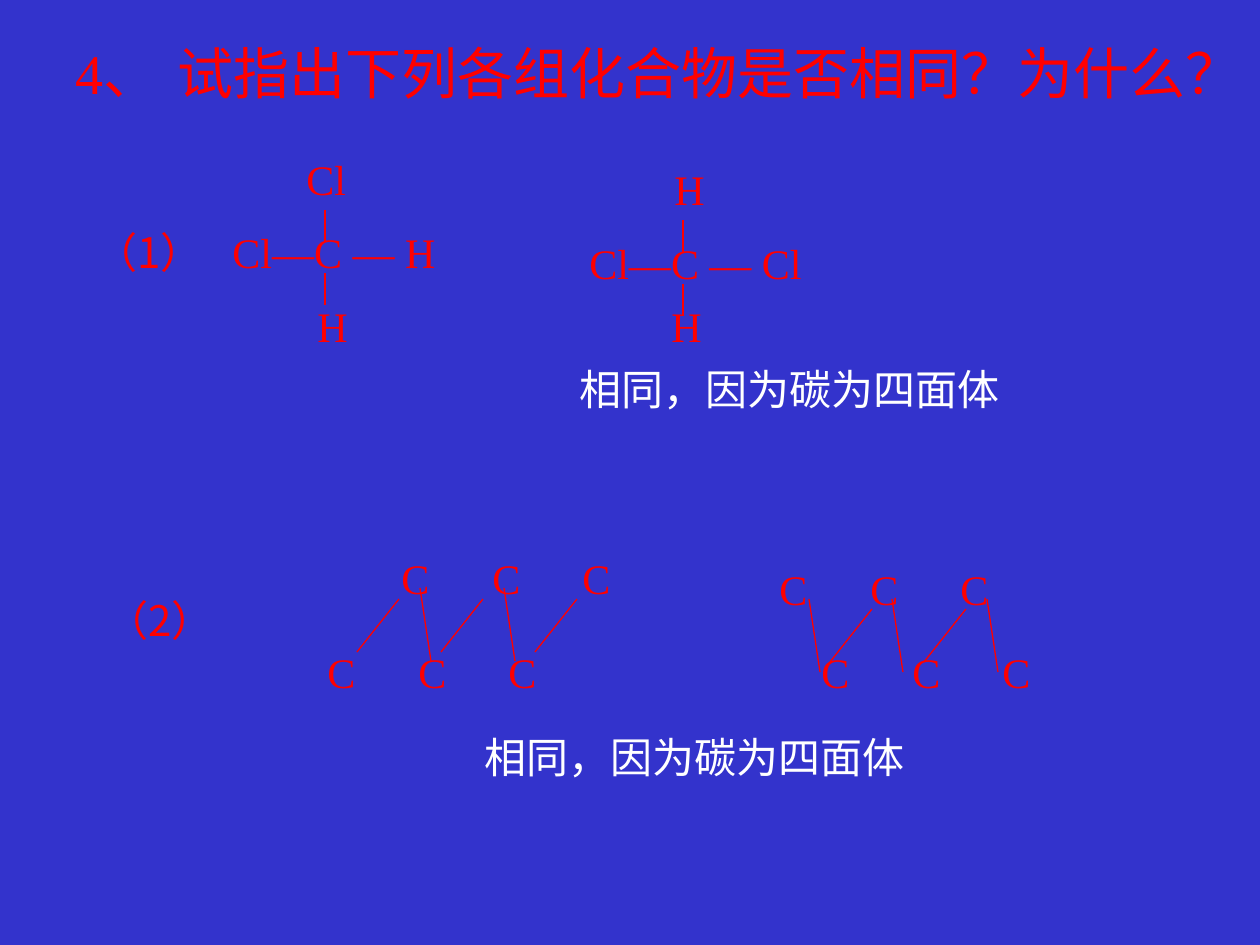
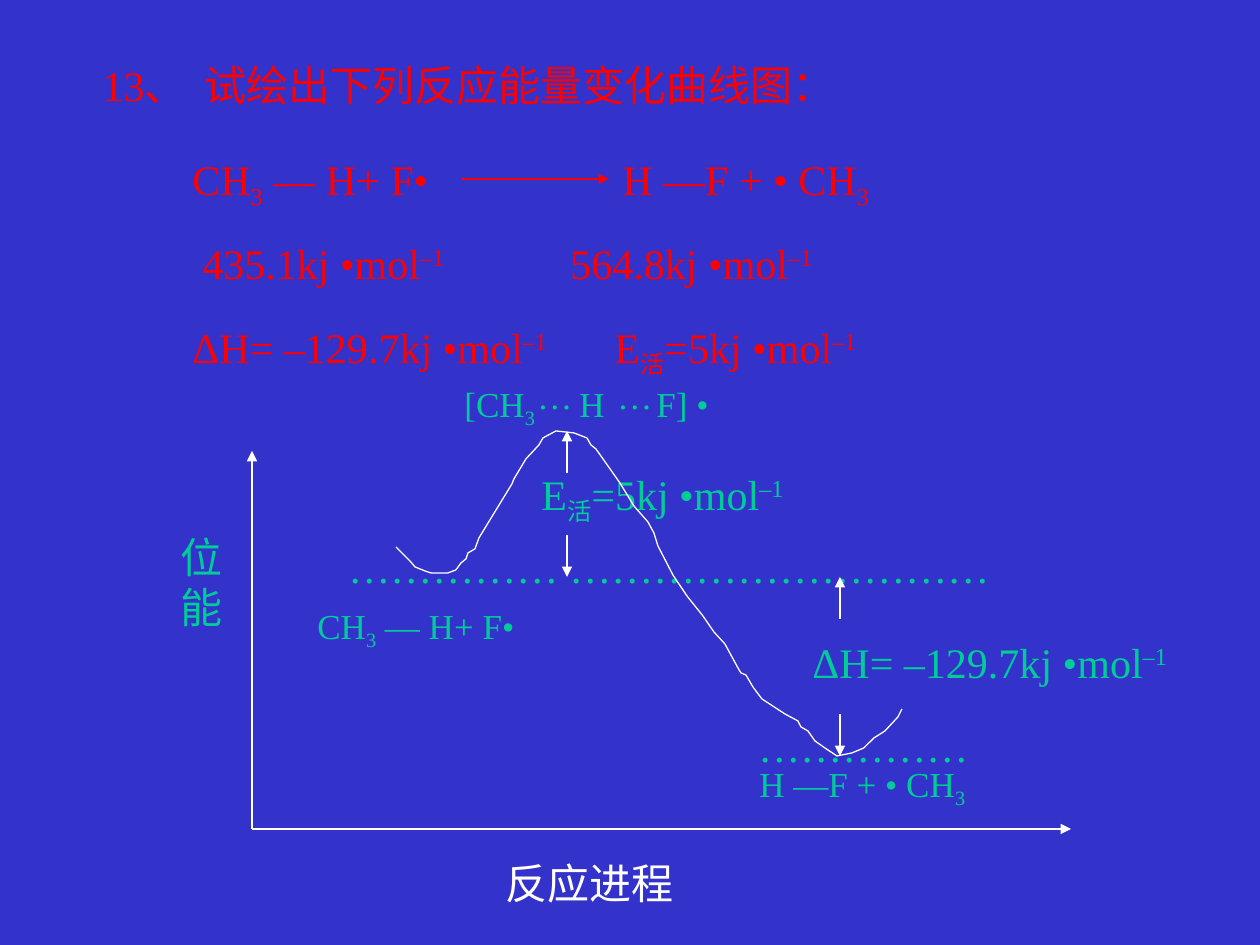
from dataclasses import dataclass

from lxml.etree import SubElement
from pptx import Presentation
from pptx.dml.color import RGBColor
from pptx.enum.shapes import MSO_CONNECTOR
from pptx.enum.text import MSO_ANCHOR, MSO_AUTO_SIZE, PP_ALIGN
from pptx.oxml.ns import qn
from pptx.util import Pt

PX = 914400 / 126
SLACK = 16


@dataclass(frozen=True)
class Theme:
    ground: str = "3333CC"
    question: str = "FF0000"
    answer: str = "FFFFFF"
    energy: str = "00CC99"
    latin: str = "Times New Roman"
    cjk: str = "Noto Sans CJK SC"
    heading: int = 32
    body: int = 24
    label: int = 20
    stroke: float = 0.75


THEME = Theme()
SUB, SUP = -25000, 30000


def sub(value):
    return value, {"baseline": SUB}


def sup(value):
    return value, {"baseline": SUP}


def gap(size):
    return "　", {"size": size}


REACTANTS = ["CH", sub("3"), " — H+ F•"]
PRODUCTS = ["H —F + • CH", sub("3")]
ENTHALPY = ["ΔH= –129.7kj •mol", sup("–1")]
ACTIVATION = ["E", sub("活"), "=5kj •mol", sup("–1")]
COMPLEX = ["[CH", sub("3"), "\tH\tF] •"]
SAME = "相同，因为碳为四面体"
CHAIN = "C\tC\tC"
ELLIPSES = "……………"

COMPOUNDS = {
    "title": (["4、", gap(10), "试指出下列各组化合物是否相同？为什么？"], (63, 32, 1197, 80)),
    "numbers": [("（1）", (83, 220, 152, 63)), ("（2）", (94, 588, 152, 63))],
    "formulas": [
        ("Cl—C — H", (220, 220, 228, 63)),
        ("Cl—C — Cl", (577, 231, 237, 63)),
        ("H", (662, 157, 55, 63)),
        ("H", (659, 294, 55, 63)),
        ("H", (305, 294, 55, 63)),
        ("Cl", (294, 147, 64, 63)),
    ],
    "chains": [(389, 546), (315, 640), (767, 557), (809, 640)],
    "answers": [(567, 357), (472, 725)],
    "bonds": [
        ((0, 32), [(325, 210), (325, 273), (683, 220), (683, 284)]),
        ((-42, 53), [(399, 599), (483, 599), (577, 599), (966, 609), (872, 609)]),
        ((11, 73), [(420, 588), (504, 588), (809, 599), (892, 599), (987, 599)]),
    ],
}

REACTION = {
    "title": (["13、", gap(10), "试绘出下列反应能量变化曲线图："], (90, 53, 786, 63)),
    "equations": [
        (REACTANTS, (180, 147, 261, 70)),
        (PRODUCTS, (610, 147, 282, 70)),
        (["435.1kj •mol", sup("–1")], (190, 231, 267, 63)),
        (["564.8kj •mol", sup("–1")], (558, 231, 267, 63)),
        (ENTHALPY, (180, 315, 379, 63)),
        (ACTIVATION, (602, 315, 287, 70)),
    ],
    "levels": [(336, 535), (557, 535), (767, 535), (746, 714)],
    "energies": [
        (ACTIVATION, (529, 462, 287, 70)),
        (ENTHALPY, (800, 630, 379, 63)),
        ("位\n能", (168, 525, 67, 113)),
    ],
    "states": [
        (REACTANTS, (305, 598, 222, 60)),
        (PRODUCTS, (747, 756, 239, 60)),
        (COMPLEX, (452, 376, 270, 60)),
        ("…", (525, 368, 77, 55)),
        ("…", (605, 368, 77, 55)),
    ],
    "progress": ("反应进程", (493, 851, 193, 63)),
    "equation_arrow": ((462, 179), (609, 179)),
    "base_line": ((252, 829), (1008, 829)),
    "arrows": [
        ((252, 829), (252, 451)),
        ((840, 829), (1071, 829)),
        ((567, 473), (567, 431)),
        ((567, 535), (567, 577)),
        ((840, 714), (840, 756)),
        ((840, 619), (840, 577)),
    ],
    "curve": [
        (396, 547), (410, 561), (415, 567), (425, 571), (431, 573), (448, 573),
        (456, 570), (461, 563), (466, 559), (468, 553), (475, 549), (479, 538),
        (490, 520), (512, 484), (514, 479), (526, 459), (539, 445), (543, 438),
        (556, 431), (574, 433), (587, 438), (591, 445), (596, 449), (608, 466),
        (620, 483), (634, 506), (648, 522), (654, 533), (658, 546), (673, 575),
        (687, 596), (703, 616), (714, 632), (725, 644), (738, 668), (741, 673),
        (746, 675), (753, 687), (762, 699), (785, 714), (798, 721), (801, 727),
        (808, 731), (815, 741), (825, 748), (837, 756), (852, 753), (864, 748),
        (874, 738), (885, 731), (898, 717), (902, 709),
    ],
}


def rgb(value):
    return RGBColor.from_string(value)


def emu(*lengths):
    return [round(length * PX) for length in lengths]


def set_tabs(paragraph, stops):
    tab_list = SubElement(paragraph._p.get_or_add_pPr(), qn("a:tabLst"))
    for stop in stops:
        SubElement(tab_list, qn("a:tab"), pos=str(round(stop * PX)), algn="l")


def write(shape, content, color=THEME.question, size=THEME.body, face=THEME.latin,
          east=THEME.cjk, align=PP_ALIGN.LEFT, wrap=False, tabs=()):
    frame = shape.text_frame
    frame.word_wrap = wrap
    frame.auto_size = MSO_AUTO_SIZE.NONE
    frame.vertical_anchor = MSO_ANCHOR.TOP
    lines = [[line] for line in content.split("\n")] if isinstance(content, str) else [content]
    for index, parts in enumerate(lines):
        paragraph = frame.add_paragraph() if index else frame.paragraphs[0]
        paragraph.alignment = align
        paragraph._p.get_or_add_pPr().set("hangingPunct", "0")
        if tabs:
            set_tabs(paragraph, tabs)
        for part in parts:
            value, extra = (part, {}) if isinstance(part, str) else part
            run = paragraph.add_run()
            run.text = value
            run.font.size = Pt(extra.get("size", size))
            run.font.color.rgb = rgb(color)
            run.font.name = face
            properties = run._r.get_or_add_rPr()
            SubElement(properties, qn("a:ea"), typeface=east)
            if "baseline" in extra:
                properties.set("baseline", str(extra["baseline"]))


def add_title(slide, title, **style):
    content, frame = title
    heading = slide.shapes.title
    heading.left, heading.top, heading.width, heading.height = emu(*frame)
    write(heading, content, **style)


def add_label(slide, content, frame, **style):
    left, top, width, height = frame
    label = slide.shapes.add_textbox(*emu(left, top, width + SLACK, height))
    write(label, content, **style)


def add_line(slide, start, end, color=THEME.question, arrow=False):
    connector = slide.shapes.add_connector(MSO_CONNECTOR.STRAIGHT, *emu(*start, *end))
    connector.line.color.rgb = rgb(color)
    connector.line.width = Pt(THEME.stroke)
    if arrow:
        SubElement(connector.line._get_or_add_ln(), qn("a:tailEnd"), type="triangle")
    SubElement(connector._element.spPr, qn("a:effectLst"))


def add_curve(slide, points):
    outline = slide.shapes.build_freeform(*points[0], scale=PX)
    outline.add_line_segments(points[1:], close=False)
    curve = outline.convert_to_shape()
    curve.shadow.inherit = False
    curve.fill.background()
    curve.line.color.rgb = rgb(THEME.answer)
    curve.line.width = Pt(THEME.stroke)


def build_compounds(slide):
    add_title(slide, COMPOUNDS["title"], size=THEME.heading, align=PP_ALIGN.JUSTIFY, wrap=True)
    for number, frame in COMPOUNDS["numbers"]:
        add_label(slide, number, frame, face=THEME.cjk)
    for formula, frame in COMPOUNDS["formulas"]:
        add_label(slide, formula, frame)
    for corner in COMPOUNDS["chains"]:
        add_label(slide, CHAIN, (*corner, 234, 63), tabs=(91, 181))
    for (dx, dy), starts in COMPOUNDS["bonds"]:
        for x, y in starts:
            add_line(slide, (x, y), (x + dx, y + dy))
    for corner in COMPOUNDS["answers"]:
        add_label(slide, SAME, (*corner, 445, 63), color=THEME.answer)


def build_reaction(slide):
    add_title(slide, REACTION["title"])
    for equation, frame in REACTION["equations"]:
        add_label(slide, equation, frame)
    add_line(slide, *REACTION["equation_arrow"], arrow=True)
    for corner in REACTION["levels"]:
        add_label(slide, ELLIPSES, (*corner, 234, 63), color=THEME.energy, east=THEME.latin)
    for energy, frame in REACTION["energies"]:
        add_label(slide, energy, frame, color=THEME.energy)
    add_line(slide, *REACTION["base_line"], color=THEME.answer)
    for start, end in REACTION["arrows"]:
        add_line(slide, start, end, color=THEME.answer, arrow=True)
    add_curve(slide, REACTION["curve"])
    for state, frame in REACTION["states"]:
        add_label(slide, state, frame, color=THEME.energy, size=THEME.label,
                  east=THEME.latin, tabs=(115, 192) if state is COMPLEX else ())
    add_label(slide, *REACTION["progress"], color=THEME.answer)


def main():
    deck = Presentation()
    deck.slide_width, deck.slide_height = emu(1260, 945)
    ground = deck.slide_master.background.fill
    ground.solid()
    ground.fore_color.rgb = rgb(THEME.ground)
    title_only = deck.slide_layouts[5]
    for build in (build_compounds, build_reaction):
        build(deck.slides.add_slide(title_only))
    deck.save("out.pptx")


if __name__ == "__main__":
    main()
